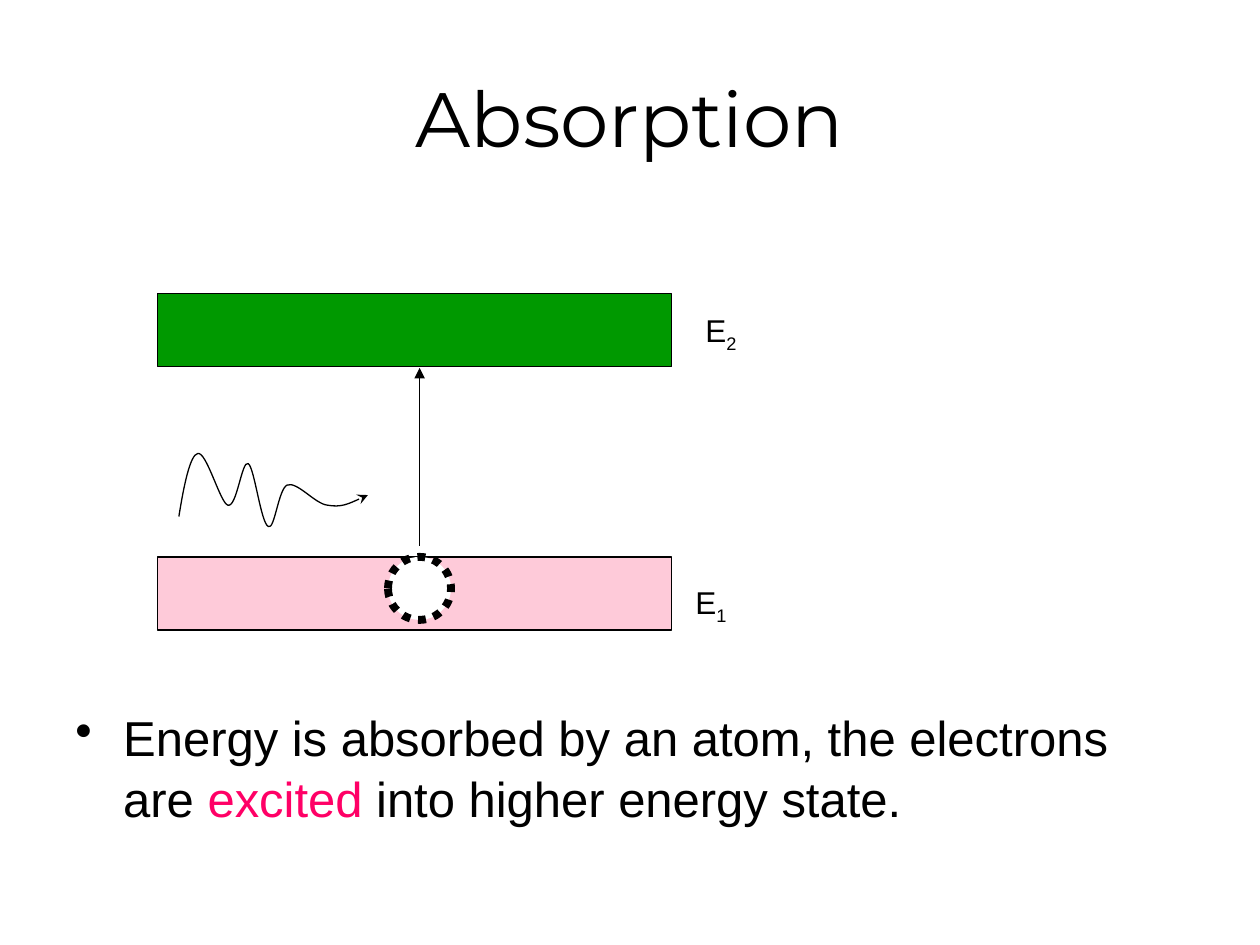
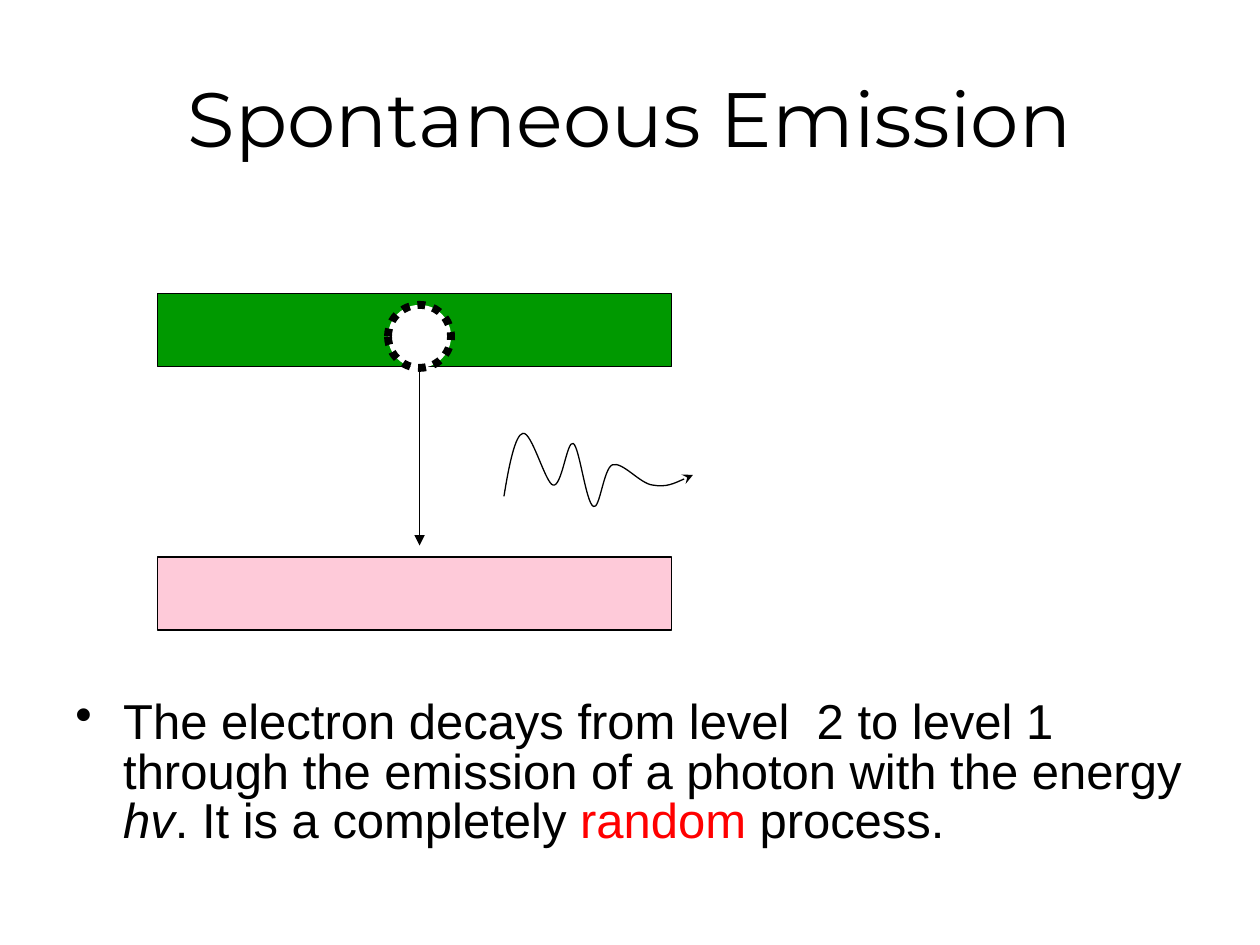
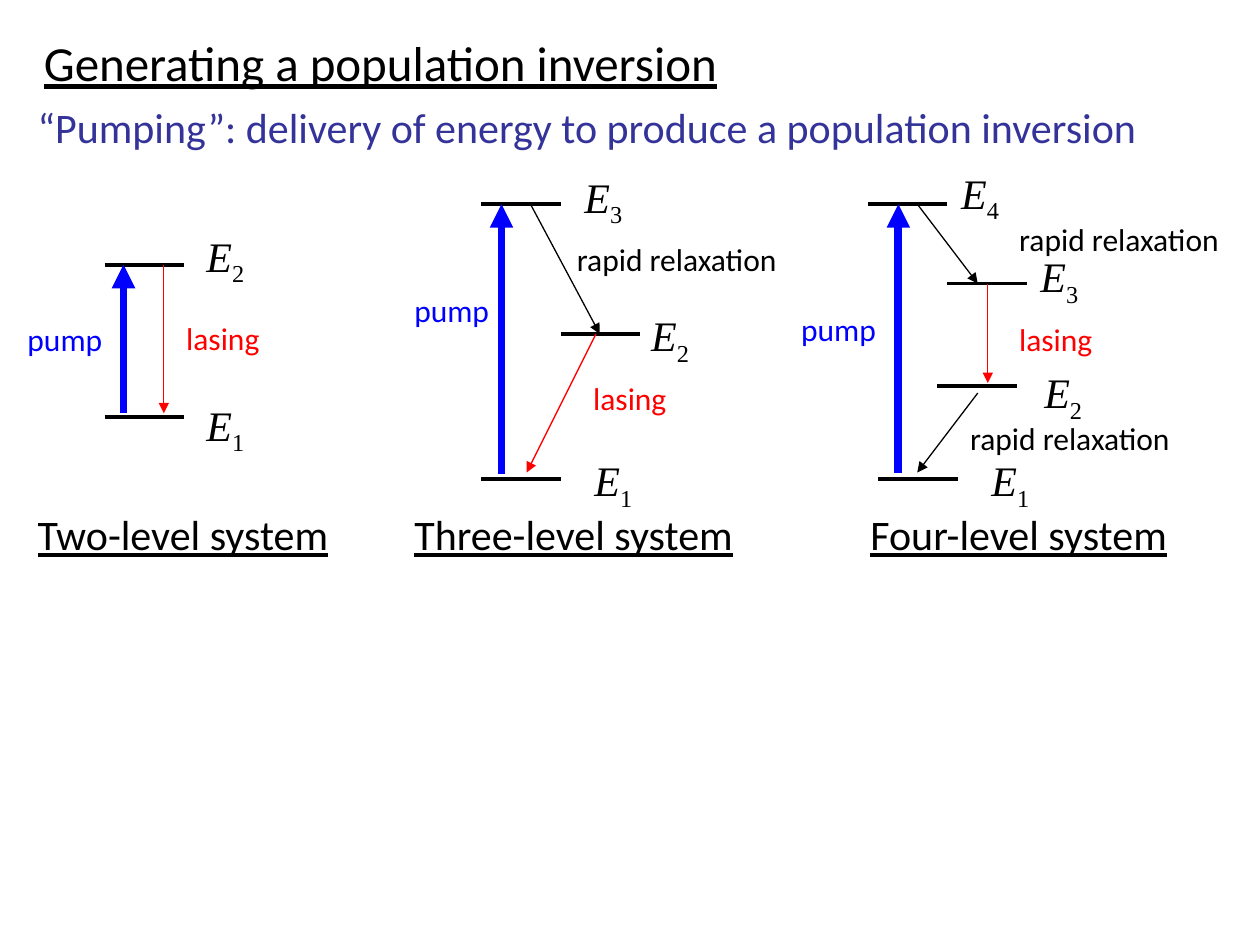
from lxml import etree
from pptx import Presentation
from pptx import util as u
from pptx.dml.color import RGBColor
from pptx.enum import dml, shapes, text
from pptx.oxml import ns

COLORS = {
    "black": "000000", "white": "FFFFFF", "upper": "009900", "lower": "FECAD9",
    "pump": "0000FF", "lasing": "FF0000", "excited": "FF0066", "subtitle": "333399",
}

BAR_LEFT, BAR_WIDTH, BAR_HEIGHT = 1.25, 4.08, 0.58
BAR_TOPS = {"upper": 2.33, "lower": 4.42}
ELECTRON_LEFT, ELECTRON_SIZE = 3.08, 0.5
ARROW_TOP, ARROW_BOTTOM = 2.92, 4.33

WAVE_START = (0, 0.52)
WAVE = [
    (0.04, 0.27), (0.09, 0.03), (0.15, 0.02),
    (0.22, 0), (0.33, 0.42), (0.39, 0.43),
    (0.46, 0.45), (0.5, 0.07), (0.55, 0.1),
    (0.6, 0.13), (0.65, 0.57), (0.71, 0.6),
    (0.76, 0.63), (0.79, 0.3), (0.86, 0.27),
    (0.94, 0.24), (1.08, 0.42), (1.18, 0.43),
    (1.29, 0.45), (1.39, 0.4), (1.5, 0.35),
]

TRANSITIONS = [
    {
        "title": "Absorption",
        "electron_top": 4.42,
        "upward": True,
        "photon": (1.42, 3.58),
        "labels": [("2", 5.5, 2.42), ("1", 5.42, 4.58)],
        "body": [
            ("Energy is absorbed by an atom, the electrons are ", {}),
            ("excited", {"color": "excited"}),
            (" into higher energy state.", {}),
        ],
        "body_top": 5.54, "body_height": 1.38, "spacing": 1.05,
    },
    {
        "title": "Spontaneous Emission",
        "electron_top": 2.42,
        "upward": False,
        "photon": (4, 3.42),
        "labels": [],
        "body": [
            ("The electron decays from level  2 to level 1 through the emission "
             "of a photon with the energy ", {}),
            ("hv", {"italic": True}),
            (". It is a completely ", {}),
            ("random", {"color": "lasing"}),
            (" process.", {}),
        ],
        "body_top": 5.51, "body_height": 1.57, "spacing": 0.84,
    },
]

HEADING = "Generating a population inversion"
SUBTITLE = "“Pumping”: delivery of energy to produce a population inversion"
LEVEL_WIDTH = 0.63
NOTE_WIDTHS = {"pump": 0.87, "lasing": 0.87, "rapid relaxation": 1.89}
NOTE_COLORS = {"pump": "pump", "lasing": "lasing", "rapid relaxation": "black"}

SYSTEMS = [
    {
        "caption": ("Two-level system", 0.2, 2.6),
        "levels": [(0.83, 3.31), (0.83, 2.1)],
        "labels": [("1", 1.54, 3.12), ("2", 1.54, 1.78)],
        "arrows": [
            ("pump", 0.98, 3.28, 0.98, 2.1),
            ("lasing", 1.3, 2.1, 1.3, 3.28),
        ],
        "notes": [("lasing", 1.38, 2.48), ("pump", 0.12, 2.49)],
    },
    {
        "caption": ("Three-level system", 3.19, 2.84),
        "levels": [(3.82, 3.8), (4.45, 2.65), (3.82, 1.62)],
        "labels": [("1", 4.62, 3.56), ("2", 5.07, 2.41), ("3", 4.54, 1.31)],
        "arrows": [
            ("pump", 3.98, 3.76, 3.98, 1.62),
            ("lasing", 4.73, 2.65, 4.18, 3.75),
            ("rapid relaxation", 4.21, 1.62, 4.76, 2.65),
        ],
        "notes": [("lasing", 4.61, 2.96), ("pump", 3.19, 2.26),
                  ("rapid relaxation", 4.48, 1.86)],
    },
    {
        "caption": ("Four-level system", 6.81, 2.83),
        "levels": [(6.97, 3.8), (7.44, 3.06), (7.52, 2.25), (6.89, 1.62)],
        "labels": [("1", 7.77, 3.56), ("2", 8.19, 2.86),
                   ("3", 8.16, 1.94), ("4", 7.53, 1.28)],
        "arrows": [
            ("pump", 7.13, 3.75, 7.13, 1.62),
            ("lasing", 7.84, 2.25, 7.84, 3.04),
            ("rapid relaxation", 7.28, 1.62, 7.76, 2.25),
            ("rapid relaxation", 7.76, 3.12, 7.28, 3.75),
        ],
        "notes": [("rapid relaxation", 7.99, 1.7), ("rapid relaxation", 7.6, 3.28),
                  ("lasing", 7.99, 2.49), ("pump", 6.26, 2.41)],
    },
]


def rgb(name):
    return RGBColor.from_string(COLORS[name])


def add_child(parent, tag, **attributes):
    return etree.SubElement(parent, ns.qn(tag), attributes)


def add_text(page, content, left, top, width, height, font="Arial", size=18,
             color="black", underline=False, align="LEFT", anchor="TOP",
             wrap=True, bullet=False, spacing=None):
    box = page.shapes.add_textbox(*map(u.Inches, (left, top, width, height)))
    frame = box.text_frame
    frame.word_wrap = wrap
    frame.vertical_anchor = text.MSO_ANCHOR[anchor]
    para = frame.paragraphs[0]
    if bullet:
        properties = para._p.get_or_add_pPr()
        properties.set("marL", str(u.Inches(0.38)))
        properties.set("indent", str(-u.Inches(0.38)))
        bullet_color = add_child(properties, "a:buClr")
        add_child(bullet_color, "a:srgbClr", val=COLORS["black"])
        add_child(properties, "a:buChar", char="•")
    para.alignment = text.PP_ALIGN[align]
    if spacing:
        para.line_spacing = spacing
    spans = [(content, {})] if isinstance(content, str) else content
    for words, style in spans:
        span = para.add_run()
        span.text = words
        span.font.name = font
        span.font.size = u.Pt(size)
        span.font.color.rgb = rgb(style.get("color", color))
        span.font.underline = underline
        span.font.italic = style.get("italic", False)
        if style.get("subscript"):
            span._r.get_or_add_rPr().set("baseline", "-25000")


def add_energy_label(page, number, left, top, width, height, italic=False, **style):
    content = [("E", {"italic": italic}), (number, {"subscript": True})]
    add_text(page, content, left, top, width, height, **style)


def style_line(shape, color="black", weight=0.75, arrow=None):
    shape.line.color.rgb = rgb(color)
    shape.line.width = u.Pt(weight)
    if arrow:
        add_child(shape.line._get_or_add_ln(), "a:tailEnd", type=arrow)


def add_line(page, x1, y1, x2, y2, **style):
    line = page.shapes.add_connector(
        shapes.MSO_CONNECTOR.STRAIGHT, *map(u.Inches, (x1, y1, x2, y2)))
    style_line(line, **style)
    add_child(line._element.spPr, "a:effectLst")


def add_solid(page, kind, left, top, width, height, fill, weight=0.75):
    solid = page.shapes.add_shape(
        shapes.MSO_SHAPE[kind], *map(u.Inches, (left, top, width, height)))
    solid.shadow.inherit = False
    solid.fill.solid()
    solid.fill.fore_color.rgb = rgb(fill)
    style_line(solid, weight=weight)
    return solid


def add_photon(page, left, top):
    points = [(u.Inches(left + x), u.Inches(top + y)) for x, y in [WAVE_START] + WAVE]
    builder = page.shapes.build_freeform(*points[0])
    builder.add_line_segments(points[1:], close=False)
    wave = builder.convert_to_shape()
    wave.shadow.inherit = False
    wave.fill.background()
    style_line(wave, arrow="stealth")
    outline = next(wave._element.iter(ns.qn("a:path")))
    segments = outline.findall(ns.qn("a:lnTo"))
    for start in range(0, len(segments), 3):
        curve = add_child(outline, "a:cubicBezTo")
        for segment in segments[start:start + 3]:
            curve.append(segment[0])
            outline.remove(segment)


def build_transition(page, data):
    add_text(page, data["title"], 0.5, 0.3, 9, 1.25, font="Montserrat", size=44,
             align="CENTER", anchor="MIDDLE")
    for level, top in BAR_TOPS.items():
        add_solid(page, "RECTANGLE", BAR_LEFT, top, BAR_WIDTH, BAR_HEIGHT, level)
    electron = add_solid(page, "OVAL", ELECTRON_LEFT, data["electron_top"],
                         ELECTRON_SIZE, ELECTRON_SIZE, "white", weight=4.5)
    electron.line.dash_style = dml.MSO_LINE.ROUND_DOT
    center = ELECTRON_LEFT + ELECTRON_SIZE / 2
    start, end = ARROW_TOP, ARROW_BOTTOM
    if data["upward"]:
        start, end = end, start
    add_line(page, center, start, center, end, arrow="triangle")
    add_photon(page, *data["photon"])
    for number, left, top in data["labels"]:
        add_energy_label(page, number, left, top, 2.08, 0.44)
    add_text(page, data["body"], 0.5, data["body_top"], 9, data["body_height"],
             size=28, bullet=True, spacing=data["spacing"])


def build_system(page, system):
    for left, top in system["levels"]:
        add_line(page, left, top, left + LEVEL_WIDTH, top, weight=2.25)
    for number, left, top in system["labels"]:
        add_energy_label(page, number, left, top, 0.5, 0.56, italic=True,
                         font="Times New Roman", size=24, wrap=False)
    for kind, *ends in system["arrows"]:
        add_line(page, *ends, color=NOTE_COLORS[kind],
                 weight=4.5 if kind == "pump" else 0.75, arrow="triangle")
    for note, left, top in system["notes"]:
        add_text(page, note, left, top, NOTE_WIDTHS[note], 0.4, font="Calibri",
                 color=NOTE_COLORS[note])
    caption, left, width = system["caption"]
    add_text(page, caption, left, 3.99, width, 0.5, font="Calibri", size=24,
             underline=True)


def main():
    deck = Presentation()
    deck.slide_width, deck.slide_height = u.Inches(10), u.Inches(7.5)
    blank = deck.slide_layouts[6]
    for data in TRANSITIONS:
        build_transition(deck.slides.add_slide(blank), data)
    page = deck.slides.add_slide(blank)
    add_text(page, HEADING, 0.25, 0.21, 6.72, 0.57, font="Calibri", size=28,
             underline=True)
    add_text(page, SUBTITLE, 0.2, 0.76, 9.69, 0.5, font="Calibri", size=24,
             color="subtitle")
    for system in SYSTEMS:
        build_system(page, system)
    deck.save("out.pptx")


if __name__ == "__main__":
    main()
